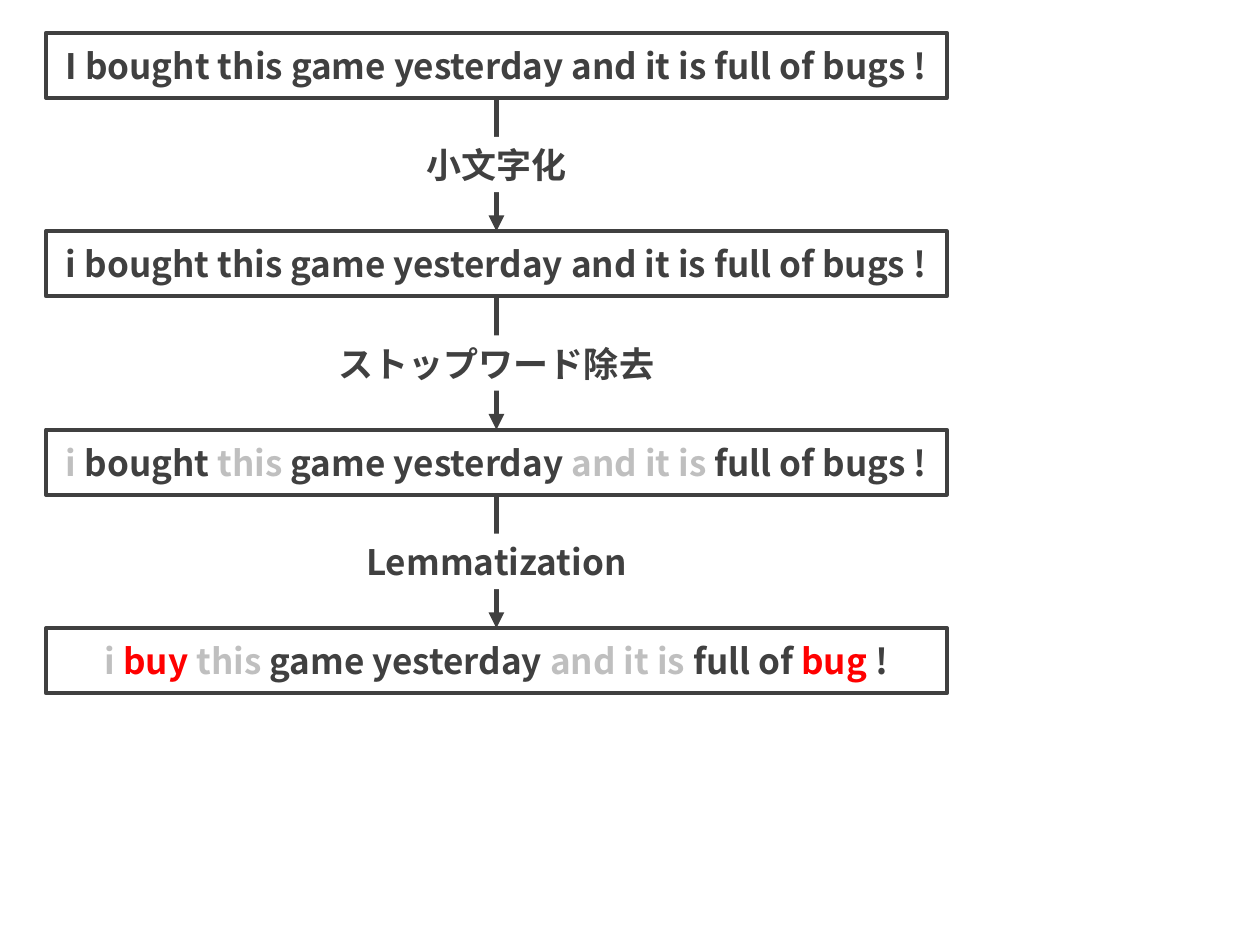
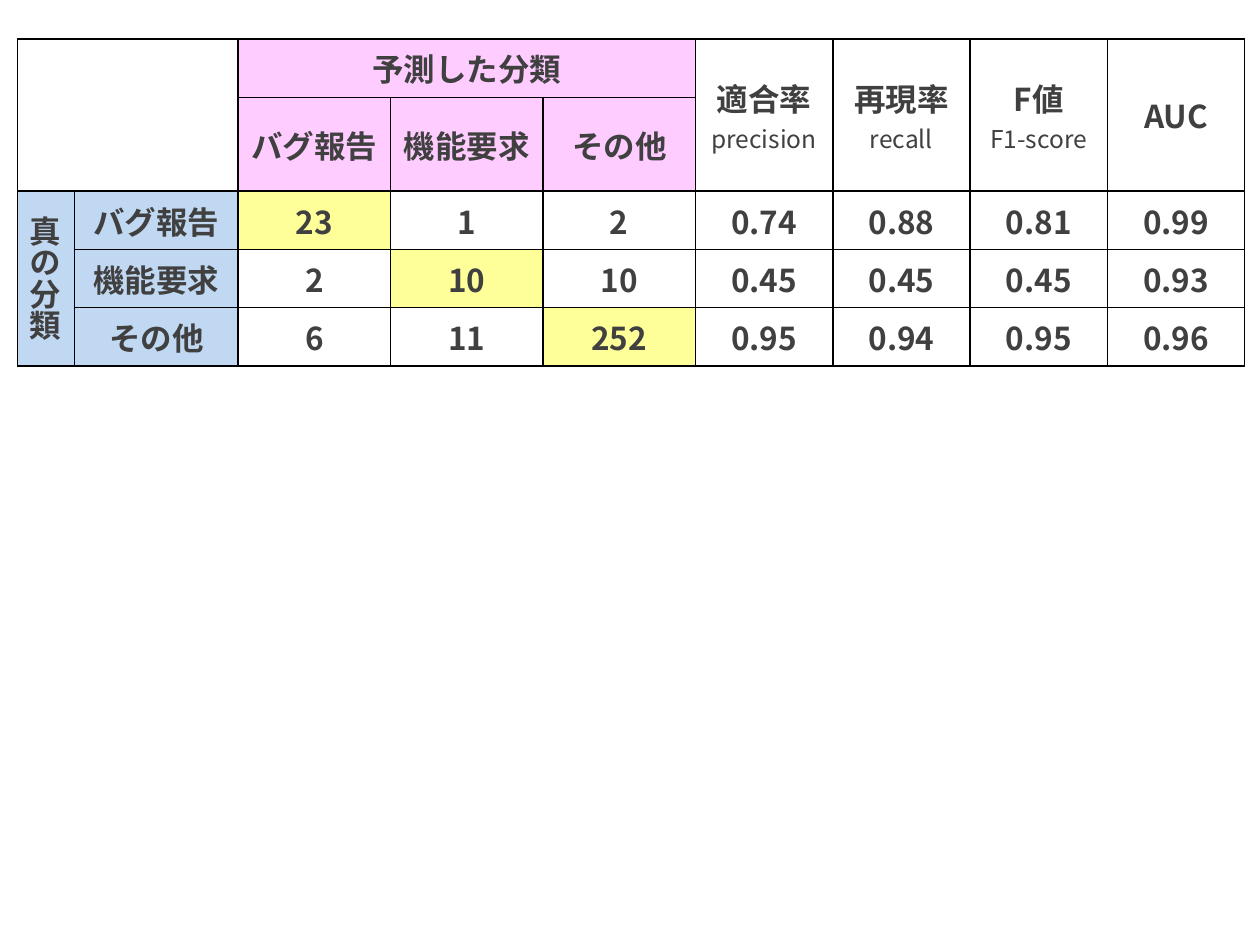
from dataclasses import dataclass

from lxml.etree import SubElement
from pptx import Presentation
from pptx.dml.color import RGBColor
from pptx.enum.shapes import MSO_CONNECTOR as Link, MSO_SHAPE as Shape
from pptx.enum.text import MSO_ANCHOR as Anchor, PP_ALIGN as Align
from pptx.oxml.ns import qn
from pptx.util import Emu, Inches, Pt

FONT = "Noto Sans CJK JP"
WIDE, HIGH = Inches(10), Inches(7.5)
INK, FADED, RED, WHITE, BLACK = "404040", "BFBFBF", "FF0000", "FFFFFF", "000000"
PINK, BLUE, YELLOW = "FFCCFF", "C1D8F2", "FFFF99"

MID, TOP, STEP = 39.4, 3.47, 21
BOX_WIDE, BOX_HIGH, TAG_HIGH = 71.5, 6.9, 5.87


@dataclass(frozen=True)
class Run:
    text: str
    hue: str = INK
    size: int | None = None
    bold: bool = True


@dataclass(frozen=True)
class Tag:
    text: str
    wide: float


@dataclass(frozen=True)
class Cell:
    row: int
    col: int
    lines: tuple[str, ...] = ()
    fill: str = WHITE
    rows: int = 1
    cols: int = 1


STAGES = [
    [Run("I bought this game yesterday and it is full of bugs !")],
    [Run("i bought this game yesterday and it is full of bugs !")],
    [Run("i", FADED), Run(" bought "), Run("this", FADED), Run(" game yesterday "),
     Run("and it is", FADED), Run(" full of bugs !")],
    [Run("i ", FADED), Run("buy ", RED), Run("this", FADED), Run(" game yesterday "),
     Run("and it is", FADED), Run(" full of "), Run("bug ", RED), Run("!")],
]
TAGS = [Tag("小文字化", 17), Tag("ストップワード除去", 27.9), Tag("Lemmatization", 27)]

KINDS = ["バグ報告", "機能要求", "その他"]
RATES = [("適合率", "precision"), ("再現率", "recall"), ("F値", "F1-score"), ("AUC",)]
SCORES = [
    ["23", "1", "2", "0.74", "0.88", "0.81", "0.99"],
    ["2", "10", "10", "0.45", "0.45", "0.45", "0.93"],
    ["6", "11", "252", "0.95", "0.94", "0.95", "0.96"],
]
COLS = [4.5, 13] + [12.1] * 3 + [10.9] * 4
ROWS = [5.2] * 5


def across(share: float) -> Emu:
    """Turn a percentage of the slide's width into a length."""
    return Emu(round(WIDE * share / 100))


def down(share: float) -> Emu:
    """Turn a percentage of the slide's height into a length."""
    return Emu(round(HIGH * share / 100))


def tint(code: str) -> RGBColor:
    """Turn a hex string into a colour."""
    return RGBColor.from_string(code)


def write(frame, *lines: list[Run], size: int = 20, align=Align.CENTER) -> None:
    """Write each list of runs as one paragraph."""
    for spot, runs in enumerate(lines):
        para = frame.add_paragraph() if spot else frame.paragraphs[0]
        para.alignment = align
        for part in runs:
            run = para.add_run()
            run.text = part.text
            font = run.font
            font.name, font.size, font.bold = FONT, Pt(part.size or size), part.bold
            font.color.rgb = tint(part.hue)
            SubElement(run._r.rPr, qn("a:ea"), typeface=FONT)


def panel(slide, top: float, wide: float, high: float, runs: list[Run], edge: bool):
    """Draw a white box centred on the flow's axis."""
    box = slide.shapes.add_shape(Shape.RECTANGLE, across(MID - wide / 2), down(top),
                                 across(wide), down(high))
    box.shadow.inherit = False
    box.fill.solid()
    box.fill.fore_color.rgb = tint(WHITE)
    if edge:
        box.line.color.rgb = tint(INK)
        box.line.width = Pt(2.25)
    else:
        box.line.fill.background()
    box.text_frame.word_wrap = True
    box.text_frame.vertical_anchor = Anchor.MIDDLE
    write(box.text_frame, runs)
    return box


def arrow(slide, start, end) -> None:
    """Join the foot of one box to the head of the next."""
    link = slide.shapes.add_connector(Link.STRAIGHT, 0, 0, 0, 0)
    link.begin_connect(start, 2)
    link.end_connect(end, 0)
    link.line.color.rgb = tint(INK)
    link.line.width = Pt(3)
    SubElement(link.line._get_or_add_ln(), qn("a:tailEnd"), type="triangle")
    SubElement(link._element.spPr, qn("a:effectLst"))


def flow(slide) -> None:
    """Draw the text cleaning steps."""
    boxes = [panel(slide, TOP + STEP * spot, BOX_WIDE, BOX_HIGH, runs, True)
             for spot, runs in enumerate(STAGES)]
    for start, end in zip(boxes, boxes[1:]):
        arrow(slide, start, end)
    drop = (STEP + BOX_HIGH - TAG_HIGH) / 2
    for spot, tag in enumerate(TAGS):
        panel(slide, TOP + STEP * spot + drop, tag.wide, TAG_HIGH, [Run(tag.text)], False)


def border(cell) -> None:
    """Rule all four sides of a cell."""
    props = cell._tc.get_or_add_tcPr()
    for side in "LRTB":
        line = SubElement(props, qn(f"a:ln{side}"), w=str(Pt(1)))
        SubElement(SubElement(line, qn("a:solidFill")), qn("a:srgbClr"), val=BLACK)


def layout() -> list[Cell]:
    """List the cells of the result table."""
    cells = [Cell(0, 0, rows=2, cols=2), Cell(0, 2, ("予測した分類",), PINK, cols=3),
             Cell(2, 0, ("真の分類",), BLUE, rows=3)]
    cells += [Cell(0, 5 + spot, rate, rows=2) for spot, rate in enumerate(RATES)]
    for spot, (kind, scores) in enumerate(zip(KINDS, SCORES)):
        cells += [Cell(1, 2 + spot, (kind,), PINK), Cell(2 + spot, 1, (kind,), BLUE)]
        cells += [Cell(2 + spot, 2 + col, (score,), YELLOW if col == spot else WHITE)
                  for col, score in enumerate(scores)]
    return cells


def grid(slide) -> None:
    """Draw the result table."""
    table = slide.shapes.add_table(len(ROWS), len(COLS), across(1.4), down(4.13),
                                   across(sum(COLS)), down(sum(ROWS))).table
    table.first_row = table.horz_banding = False
    for col, wide in zip(table.columns, COLS):
        col.width = across(wide)
    for row, high in zip(table.rows, ROWS):
        row.height = down(high)
    for cell in table.iter_cells():
        border(cell)
        cell.fill.solid()
        cell.fill.fore_color.rgb = tint(WHITE)
    for item in layout():
        cell = table.cell(item.row, item.col)
        if item.rows * item.cols > 1:
            cell.merge(table.cell(item.row + item.rows - 1, item.col + item.cols - 1))
        cell.fill.fore_color.rgb = tint(item.fill)
        cell.vertical_anchor = Anchor.MIDDLE
        lines = [[Run(text, size=14 if spot else None, bold=not spot)]
                 for spot, text in enumerate(item.lines)]
        write(cell.text_frame, *lines, size=18)
    table.cell(2, 0)._tc.get_or_add_tcPr().set("vert", "eaVert")


def main() -> None:
    """Build and save both slides."""
    deck = Presentation()
    deck.slide_width, deck.slide_height = WIDE, HIGH
    for draw in (flow, grid):
        draw(deck.slides.add_slide(deck.slide_layouts[6]))
    deck.save("out.pptx")


if __name__ == "__main__":
    main()
